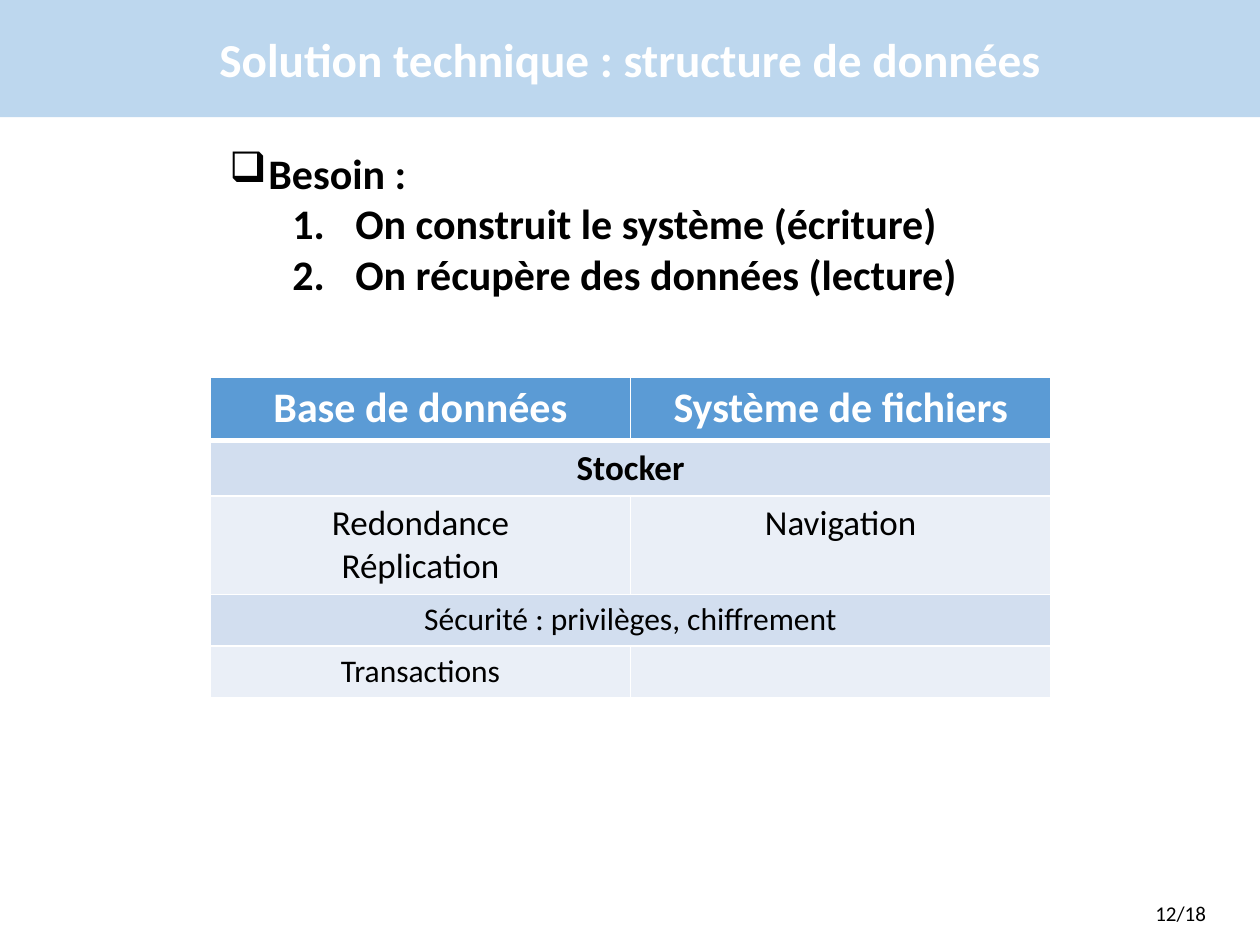
"""Build the slide on the data structure of the technical solution."""
from pptx import Presentation
from pptx.dml.color import RGBColor as RGB
from pptx.enum.text import MSO_ANCHOR as Anchor, MSO_AUTO_SIZE as Auto, PP_ALIGN as Align
from pptx.oxml import parse_xml
from pptx.util import Inches, Pt

NS = 'xmlns:a="http://schemas.openxmlformats.org/drawingml/2006/main"'
FONT = "Calibri"
WHITE, BLACK = "FFFFFF", "000000"
PILL, HEAD, DARK, LIGHT = "BDD7EE", "5B9BD5", "D2DEEF", "EAEFF7"

TITLE = "Solution technique : structure de données"
BOX = ('<a:buFont %s typeface="Wingdings"/>', '<a:buChar %s char="q"/>')
NUM = ('<a:buFont %s typeface="+mj-lt"/>', '<a:buAutoNum %s type="arabicPeriod"/>')
NEEDS = [
    ("Besoin :", 0, 0.31, -0.31, BOX),
    ("On construit le système (écriture)", 1, 1, -0.5, NUM),
    ("On récupère des données (lecture)", 1, 1, -0.5, NUM),
]
ROWS = [
    (0.49, 24, True, WHITE, HEAD, [["Base de données"], ["Système de fichiers"]]),
    (0.44, 20, True, BLACK, DARK, [["Stocker"]]),
    (0.78, 20, False, BLACK, LIGHT, [["Redondance", "Réplication"], ["Navigation"]]),
    (0.41, 18, False, BLACK, DARK, [["Sécurité : privilèges, chiffrement"]]),
    (0.4, 18, False, BLACK, LIGHT, [["Transactions"], []]),
]
PAGE = "12/18"


def color(code):
    return RGB.from_string(code)


def paint(fill, code):
    fill.solid()
    fill.fore_color.rgb = color(code)


def place(shape, *box):
    shape.left, shape.top, shape.width, shape.height = map(Inches, box)


def write(par, text, size, bold, code, align):
    par.alignment = align
    run = par.add_run()
    run.text = text
    font = run.font
    font.name, font.size, font.bold = FONT, Pt(size), bold
    font.color.rgb = color(code)


def lines(frame, texts, *style):
    for i, text in enumerate(texts):
        par = frame.add_paragraph() if i else frame.paragraphs[0]
        write(par, text, *style)


def edge(cell, low):
    props = cell._tc.get_or_add_tcPr()
    for i, (side, width) in enumerate((("L", 1), ("R", 1), ("T", 1), ("B", low))):
        props.insert(i, parse_xml(
            f'<a:ln{side} {NS} w="{Pt(width)}"><a:solidFill>'
            f'<a:srgbClr val="{WHITE}"/></a:solidFill></a:ln{side}>'))


deck = Presentation()
deck.slide_width, deck.slide_height = Inches(10), Inches(7.5)
slide = deck.slides.add_slide(deck.slide_layouts[1])

title = slide.shapes.title
place(title, 0, 0, 10, 0.93)
title._element.spPr.append(parse_xml(
    f'<a:prstGeom {NS} prst="roundRect"><a:avLst>'
    '<a:gd name="adj" fmla="val 50000"/></a:avLst></a:prstGeom>'))
paint(title.fill, PILL)
title.text_frame.auto_size = Auto.NONE
title.text_frame.vertical_anchor = Anchor.MIDDLE
lines(title.text_frame, [TITLE], 27, True, WHITE, Align.CENTER)

body = slide.placeholders[1]
place(body, 1.72, 1.12, 6.55, 1.31)
body.text_frame.auto_size = Auto.NONE
lines(body.text_frame, [need[0] for need in NEEDS], 24, True, BLACK, Align.LEFT)
for par, (_, level, left, hang, marks) in zip(body.text_frame.paragraphs, NEEDS):
    par.level, par.line_spacing = level, 1.0
    par.space_before = par.space_after = Pt(0)
    props = par._p.get_or_add_pPr()
    props.set("marL", str(Inches(left)))
    props.set("indent", str(Inches(hang)))
    for mark in marks:
        props.append(parse_xml(mark % NS))

high = sum(row[0] for row in ROWS)
grid = slide.shapes.add_table(
    len(ROWS), 2, Inches(1.67), Inches(2.99), Inches(6.67), Inches(high)).table
for r, (tall, size, bold, ink, back, texts) in enumerate(ROWS):
    grid.rows[r].height = Inches(tall)
    for c in range(2):
        cell = grid.cell(r, c)
        paint(cell.fill, back)
        edge(cell, 1 if r else 3)
    if len(texts) == 1:
        grid.cell(r, 0).merge(grid.cell(r, 1))
    for c, text in enumerate(texts):
        lines(grid.cell(r, c).text_frame, text, size, bold, ink, Align.CENTER)

page = slide.shapes.add_textbox(*map(Inches, (7.42, 7.1, 2.25, 0.4)))
page.text_frame.word_wrap = True
lines(page.text_frame, [PAGE], 12, False, BLACK, Align.RIGHT)

deck.save("out.pptx")
